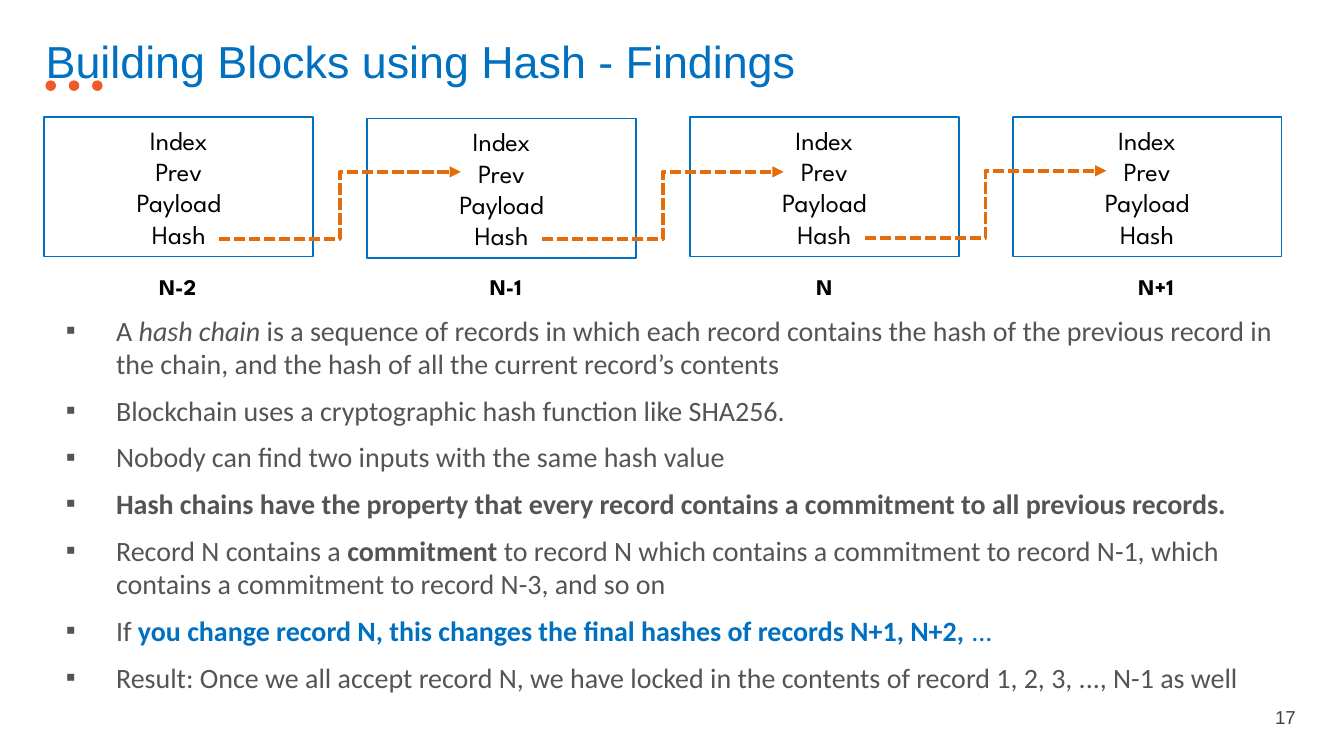
from dataclasses import dataclass

from lxml.etree import SubElement
from pptx import Presentation
from pptx.dml.color import RGBColor
from pptx.enum.dml import MSO_LINE
from pptx.enum.shapes import MSO_CONNECTOR, MSO_SHAPE
from pptx.enum.text import MSO_ANCHOR, MSO_AUTO_SIZE, PP_ALIGN
from pptx.oxml.ns import qn
from pptx.util import Cm, Pt


@dataclass(frozen=True)
class Theme:
    blue: RGBColor = RGBColor(0x00, 0x70, 0xC0)
    orange: RGBColor = RGBColor(0xE4, 0x6C, 0x0A)
    dot: RGBColor = RGBColor(0xF1, 0x59, 0x2D)
    body: RGBColor = RGBColor(0x54, 0x54, 0x54)
    number: RGBColor = RGBColor(0x40, 0x40, 0x40)
    black: RGBColor = RGBColor(0, 0, 0)
    heading_font: str = "Arial"
    body_font: str = "Calibri"
    record_font: str = "League Spartan"
    title_size: int = 24
    body_size: int = 15
    record_size: int = 14
    label_size: int = 12
    number_size: int = 10


FIELDS = "Index\nPrev\nPayload\nHash"
RECORD_LEFT, RECORD_PITCH = 0.84, 6.1
# Label, label left, record top
RECORDS = [
    ("N-2", 2.46, 2.21),
    ("N-1", 8.66, 2.24),
    ("N", 14.68, 2.21),
    ("N+1", 20.95, 2.21),
]
LINK_STARTS = [4.52, 4.52, 4.5]

# Each finding is a list of (text, style) pieces
FINDINGS = [
    [("A ", ""), ("hash chain ", "italic"),
     ("is a sequence of records in which each record contains the hash of the "
      "previous record in the chain, and the hash of all the current record’s contents", "")],
    [("Blockchain uses a cryptographic hash function like SHA256.", "")],
    [("Nobody can find two inputs with the same hash value", "")],
    [("Hash chains have the property that every record contains a commitment "
      "to all previous records.", "bold")],
    [("Record N contains a ", ""), ("commitment ", "bold"),
     ("to record N which contains a commitment to record N-1, which contains "
      "a commitment to record N-3, and so on", "")],
    [("If ", ""),
     ("you change record N, this changes the final hashes of records N+1, N+2, ", "bold blue"),
     ("...", "blue")],
    [("Result: Once we all accept record N, we have locked in the contents of "
      "record 1, 2, 3, ..., N-1 as well", "")],
]


class SlideBuilder:
    def __init__(self, slide, theme):
        self.slide = slide
        self.theme = theme

    def place(self, shape, left, top, width, height):
        shape.left, shape.top = Cm(left), Cm(top)
        shape.width, shape.height = Cm(width), Cm(height)

    def style_run(self, run, font, size, color, bold=False, italic=False):
        run.font.name = font
        run.font.size = Pt(size)
        run.font.color.rgb = color
        run.font.bold = bold
        run.font.italic = italic

    def fill_text(self, shape, text, font, size, color, align, bold=False, inset=None):
        frame = shape.text_frame
        frame.text = text
        frame.word_wrap = True
        frame.auto_size = MSO_AUTO_SIZE.NONE
        if inset is not None:
            frame.margin_left = frame.margin_right = Cm(inset)
            frame.margin_top = frame.margin_bottom = Cm(inset)
        for paragraph in frame.paragraphs:
            paragraph.alignment = align
            for run in paragraph.runs:
                self.style_run(run, font, size, color, bold)

    def title(self, text):
        heading = self.slide.shapes.title
        self.place(heading, 0.61, 0.51, 24.23, 1.27)
        self.fill_text(heading, text, self.theme.heading_font, self.theme.title_size,
                       self.theme.blue, PP_ALIGN.LEFT)
        heading.text_frame.vertical_anchor = MSO_ANCHOR.MIDDLE

    def text(self, text, left, top, width, height, font, size, color, align,
             bold=False, inset=None):
        box = self.slide.shapes.add_textbox(Cm(left), Cm(top), Cm(width), Cm(height))
        self.fill_text(box, text, font, size, color, align, bold, inset)

    def dot(self, left):
        dot = self.slide.shapes.add_shape(
            MSO_SHAPE.OVAL, Cm(left), Cm(1.52), Cm(0.2), Cm(0.2))
        dot.shadow.inherit = False
        dot.fill.solid()
        dot.fill.fore_color.rgb = self.theme.dot
        dot.line.fill.background()

    def record(self, left, top):
        record = self.slide.shapes.add_shape(
            MSO_SHAPE.RECTANGLE, Cm(left), Cm(top), Cm(5.08), Cm(2.64))
        record.shadow.inherit = False
        record.fill.background()
        record.line.color.rgb = self.theme.blue
        record.line.width = Pt(1)
        self.fill_text(record, FIELDS, self.theme.record_font, self.theme.record_size,
                       self.theme.black, PP_ALIGN.CENTER, inset=0.13)
        record.text_frame.vertical_anchor = MSO_ANCHOR.MIDDLE

    def link(self, left, start):
        link = self.slide.shapes.add_connector(
            MSO_CONNECTOR.ELBOW, Cm(left), Cm(start), Cm(left + 4.57), Cm(start - 1.27))
        link.line.color.rgb = self.theme.orange
        link.line.width = Pt(2)
        link.line.dash_style = MSO_LINE.SQUARE_DOT
        properties = link._element.spPr
        SubElement(properties.find(qn("a:ln")), qn("a:tailEnd"), type="triangle")
        SubElement(properties, qn("a:effectLst"))

    def bullets(self, findings):
        body = self.slide.placeholders[1]
        self.place(body, 0.99, 5.79, 23.88, 7.5)
        frame = body.text_frame
        frame.word_wrap = True
        frame.auto_size = MSO_AUTO_SIZE.NONE
        frame.vertical_anchor = MSO_ANCHOR.TOP
        for index, pieces in enumerate(findings):
            paragraph = frame.add_paragraph() if index else frame.paragraphs[0]
            paragraph.space_before = Pt(7 if index else 0)
            indent = paragraph._p.get_or_add_pPr()
            indent.set("marL", str(Cm(0.95)))
            indent.set("indent", str(-Cm(0.95)))
            SubElement(indent, qn("a:buChar"), char="▪")
            for text, style in pieces:
                run = paragraph.add_run()
                run.text = text
                color = self.theme.blue if "blue" in style else self.theme.body
                self.style_run(run, self.theme.body_font, self.theme.body_size, color,
                               "bold" in style, "italic" in style)


def main():
    deck = Presentation()
    deck.slide_width, deck.slide_height = Cm(25.4), Cm(14.29)
    theme = Theme()
    builder = SlideBuilder(deck.slides.add_slide(deck.slide_layouts[1]), theme)

    # Heading with its three dots
    for index in range(3):
        builder.dot(0.86 + 0.44 * index)
    builder.title("Building Blocks using Hash - Findings")

    # Chain of records and their labels
    for index, (label, label_left, top) in enumerate(RECORDS):
        builder.record(RECORD_LEFT + RECORD_PITCH * index, top)
        builder.text(label, label_left, 5.03, 1.8, 0.76, theme.record_font,
                     theme.label_size, theme.black, PP_ALIGN.CENTER, True, 0.13)

    # Each hash points to the next record's Prev field
    for index, start in enumerate(LINK_STARTS):
        builder.link(4.14 + RECORD_PITCH * index, start)

    # Findings and page number
    builder.bullets(FINDINGS)
    builder.text("17", 23.44, 13.21, 1.3, 0.79, theme.heading_font,
                 theme.number_size, theme.number, PP_ALIGN.RIGHT)

    deck.save("out.pptx")


if __name__ == "__main__":
    main()
